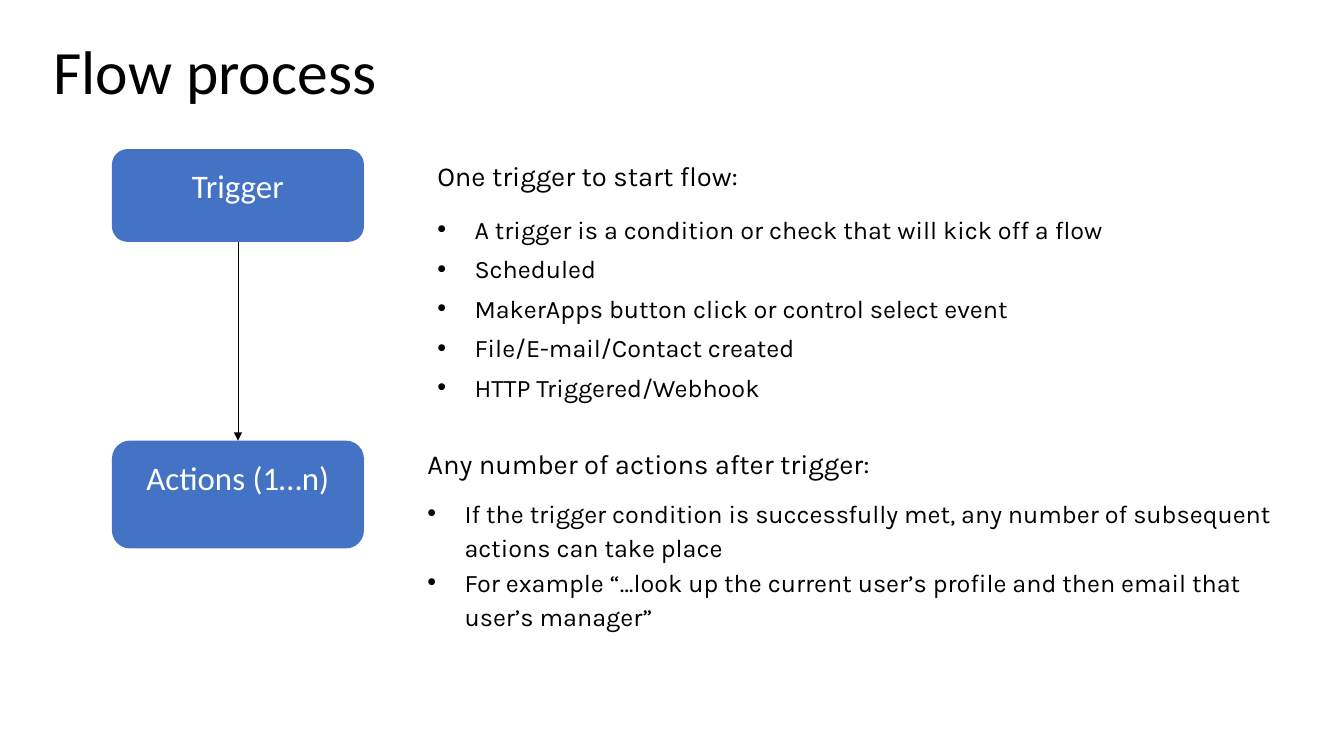
"""Build the flow process slide: a trigger, its actions and their notes."""
import lxml.etree
import pptx
import pptx.dml.color
import pptx.enum.shapes
import pptx.enum.text
import pptx.oxml.ns
import pptx.util

Pt = pptx.util.Pt
RGB = pptx.dml.color.RGBColor.from_string
ALIGN = pptx.enum.text.PP_ALIGN
ANCHOR = pptx.enum.text.MSO_ANCHOR

TITLE = "Flow process"
STEPS = [
    {
        "label": "Trigger",
        "top": 106.5,
        "height": 66.25,
        "inset": (7.2, 3.6),
        "heading": "One trigger to start flow:",
        "heading_top": 106.5,
        "heading_format": {"line_spacing": 1.14},
        "heading_anchor": ANCHOR.TOP,
        "notes": [
            "A trigger is a condition or check that will kick off a flow",
            "Scheduled",
            "MakerApps button click or control select event",
            "File/E-mail/Contact created",
            "HTTP Triggered/Webhook",
        ],
        "notes_box": (146.25, 553.75, 149.75),
        "notes_gap": 3.6,
    },
    {
        "label": "Actions (1…n)",
        "top": 314.75,
        "height": 77,
        "inset": (0, 0),
        "heading": "Any number of actions after trigger:",
        "heading_top": 313.25,
        "heading_format": {},
        "heading_anchor": ANCHOR.BOTTOM,
        "notes": [
            "If the trigger condition is successfully met, any number of "
            "subsequent actions can take place",
            "For example “…look up the current user’s profile and then "
            "email that user’s manager”",
        ],
        "notes_box": (352.75, 620.75, 121.75),
        "notes_gap": 0,
    },
]
THEME = {
    "title": {"font": {"name": "Calibri", "size": Pt(44)}, "color": "000000"},
    "step": {"font": {"name": "Calibri", "size": Pt(23.5)}, "color": "FFFFFF"},
    "heading": {"font": {"name": "Karla", "size": Pt(19.6)}, "color": "000000"},
    "note": {"font": {"name": "Karla", "size": Pt(18)}, "color": "000000"},
    "step_fill": "4472C4",
    "arrow": "000000",
}
STEP_LEFT, STEP_WIDTH = 80, 180
STEP_INSET = (14.4, 11.5)
NOTES_LEFT, HEADING_WIDTH, HEADING_HEIGHT = 305.25, 553.75, 29.5
BULLET_INDENT = 26.6


def apply(target, values):
    for key, value in values.items():
        setattr(target, key, value)


def set_frame(frame, inset, anchor):
    across, down = inset
    apply(frame, {
        "word_wrap": True,
        "auto_size": pptx.enum.text.MSO_AUTO_SIZE.NONE,
        "vertical_anchor": anchor,
        "margin_left": Pt(across),
        "margin_right": Pt(across),
        "margin_top": Pt(down),
        "margin_bottom": Pt(down),
    })


def add_bullet(paragraph):
    properties = paragraph._p.get_or_add_pPr()
    properties.set("marL", str(Pt(BULLET_INDENT)))
    properties.set("indent", str(-Pt(BULLET_INDENT)))
    for tag, key, value in (("a:buFont", "typeface", "Arial"), ("a:buChar", "char", "•")):
        lxml.etree.SubElement(properties, pptx.oxml.ns.qn(tag)).set(key, value)


def write(frame, lines, role, layout, gap=0, bulleted=False):
    for index, line in enumerate(lines):
        paragraph = frame.add_paragraph() if index else frame.paragraphs[0]
        if bulleted:
            add_bullet(paragraph)
        apply(paragraph, layout)
        if index and gap:
            paragraph.space_before = Pt(gap)
        run = paragraph.add_run()
        run.text = line
        apply(run.font, THEME[role]["font"])
        run.font.color.rgb = RGB(THEME[role]["color"])


def add_title(slide):
    title = slide.shapes.title
    apply(title, {"left": Pt(31), "top": Pt(26), "width": Pt(828), "height": Pt(104.5)})
    set_frame(title.text_frame, (7.2, 3.6), ANCHOR.TOP)
    write(title.text_frame, [TITLE], "title", {"alignment": ALIGN.LEFT, "line_spacing": 0.9})


def add_step(slide, step):
    box = slide.shapes.add_shape(
        pptx.enum.shapes.MSO_SHAPE.ROUNDED_RECTANGLE,
        Pt(STEP_LEFT), Pt(step["top"]), Pt(STEP_WIDTH), Pt(step["height"]))
    box.shadow.inherit = False
    box.fill.solid()
    box.fill.fore_color.rgb = RGB(THEME["step_fill"])
    box.line.fill.background()
    set_frame(box.text_frame, STEP_INSET, ANCHOR.TOP)
    write(box.text_frame, [step["label"]], "step",
          {"alignment": ALIGN.CENTER, "line_spacing": 0.9})
    return box


def add_notes(slide, step):
    heading = slide.shapes.add_textbox(
        Pt(NOTES_LEFT), Pt(step["heading_top"]), Pt(HEADING_WIDTH), Pt(HEADING_HEIGHT))
    set_frame(heading.text_frame, step["inset"], step["heading_anchor"])
    write(heading.text_frame, [step["heading"]], "heading", step["heading_format"])
    top, width, height = step["notes_box"]
    notes = slide.shapes.add_textbox(Pt(NOTES_LEFT), Pt(top), Pt(width), Pt(height))
    set_frame(notes.text_frame, step["inset"], ANCHOR.TOP)
    write(notes.text_frame, step["notes"], "note", {"line_spacing": 1.14},
          step["notes_gap"], bulleted=True)


def add_arrow(slide, trigger, actions):
    middle = trigger.left + trigger.width // 2
    arrow = slide.shapes.add_connector(
        pptx.enum.shapes.MSO_CONNECTOR.STRAIGHT,
        middle, trigger.top + trigger.height, middle, actions.top)
    arrow.begin_connect(trigger, 2)
    arrow.end_connect(actions, 0)
    arrow.line.width = Pt(0.5)
    arrow.line.color.rgb = RGB(THEME["arrow"])
    qn = pptx.oxml.ns.qn
    lxml.etree.SubElement(arrow.line._get_or_add_ln(), qn("a:tailEnd")).set("type", "triangle")
    lxml.etree.SubElement(arrow._element.spPr, qn("a:effectLst"))


def main():
    deck = pptx.Presentation()
    apply(deck, {"slide_width": Pt(960), "slide_height": Pt(540)})
    slide = deck.slides.add_slide(deck.slide_layouts[5])
    add_title(slide)
    trigger, actions = [add_step(slide, step) for step in STEPS]
    add_arrow(slide, trigger, actions)
    for step in STEPS:
        add_notes(slide, step)
    deck.save("out.pptx")


if __name__ == "__main__":
    main()
